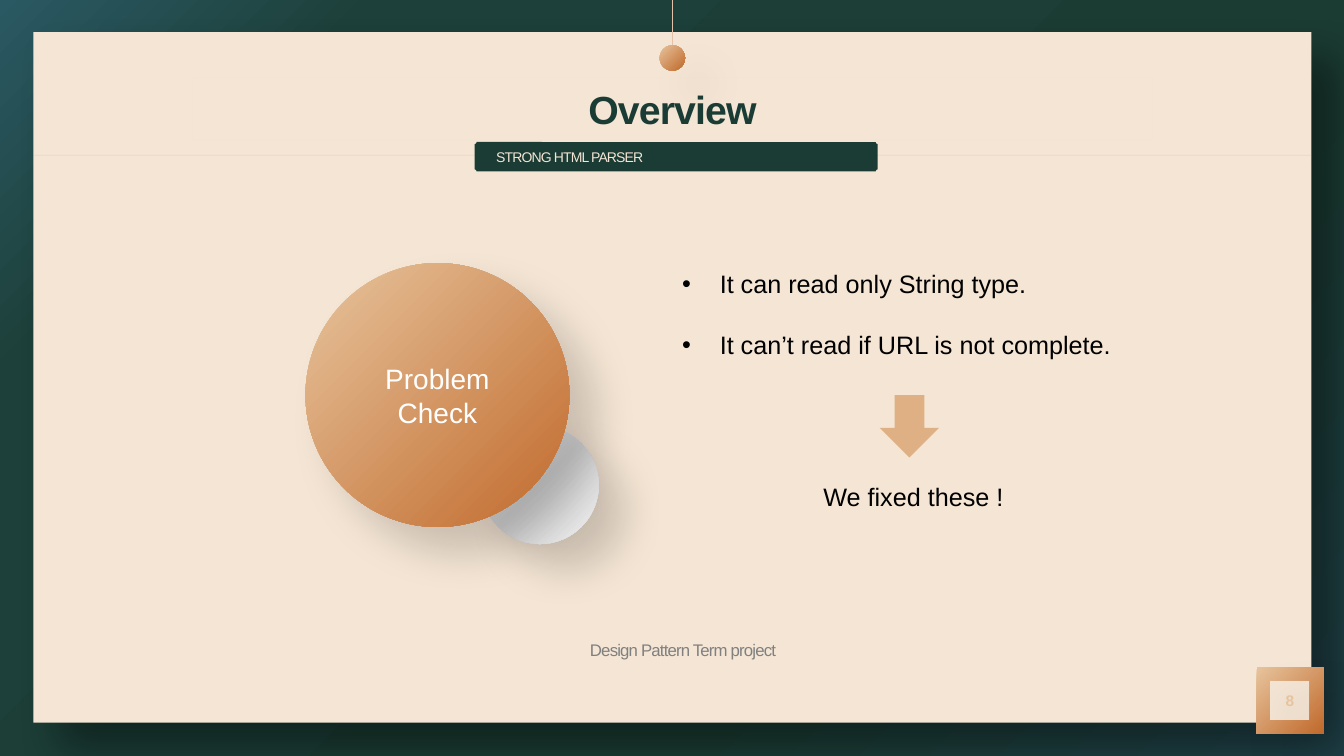
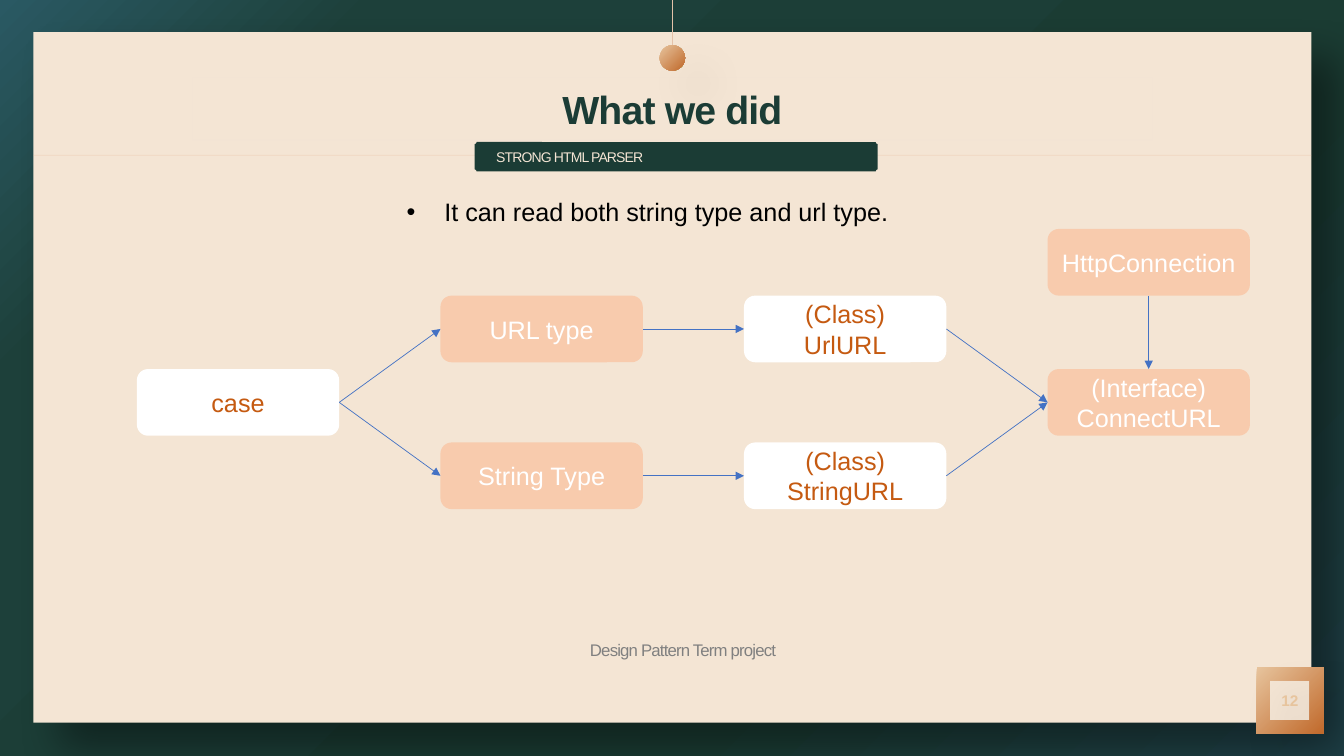
from lxml import etree
from pptx import Presentation
from pptx import util as u
from pptx.dml.color import RGBColor
from pptx.enum import shapes as s, text as t
from pptx.oxml.ns import qn

Cm, Pt = u.Cm, u.Pt
SHAPE = s.MSO_SHAPE
CENTER, LEFT, JUSTIFY = t.PP_ALIGN.CENTER, t.PP_ALIGN.LEFT, t.PP_ALIGN.JUSTIFY

# Shared style
FONT = "Arial"
GREEN, CREAM, WHITE, BLACK = "1B3C35", "F4E5D4", "FFFFFF", "000000"
PEACH, RUST, GREY = "F8CBAD", "C55A11", "808080"
COPPER = [(0, "E7C49D"), (100, "C16A2C")]
SILVER = [(0, "FFFFFF"), (50, "D0D0D0"), (100, "F2F2F2")]
BACKDROP = [(0, "1F4148"), (33, "1B3C33"), (82, "1D403A"), (100, "2A5963")]
SLIDE_WIDTH, SLIDE_HEIGHT = 33.87, 19.05
PANEL = (0.84, 0.81, 32.21, 17.4)


def color(value):
    return RGBColor.from_string(value)


def child(parent, tag, **attributes):
    element = etree.SubElement(parent, qn(tag))
    for name, value in attributes.items():
        element.set(name, str(value))
    return element


def add_alpha(parent, percent):
    child(parent, "a:alpha", val=percent * 1000)


def set_gradient(properties, stops, radial=False):
    """Replace the solid fill in the given properties with a gradient."""
    gradient = etree.Element(qn("a:gradFill"), rotWithShape="1")
    stop_list = child(gradient, "a:gsLst")
    for position, value in stops:
        stop = child(stop_list, "a:gs", pos=position * 1000)
        child(stop, "a:srgbClr", val=value)
    if radial:
        way = child(gradient, "a:path", path="circle")
        child(way, "a:fillToRect", l=100000, t=100000)
    else:
        child(gradient, "a:lin", ang=45 * 60000, scaled=0)
    properties.replace(properties.find(qn("a:solidFill")), gradient)


def write(shape, lines, size=18, ink=BLACK, align=LEFT, bold=False, spacing=0,
          anchor=t.MSO_ANCHOR.MIDDLE, insets=(0.25, 0.13), bullet=False,
          gap=0, line_spacing=None):
    frame = shape.text_frame
    frame.word_wrap = True
    frame.auto_size = t.MSO_AUTO_SIZE.NONE
    frame.vertical_anchor = anchor
    frame.margin_left = frame.margin_right = Cm(insets[0])
    frame.margin_top = frame.margin_bottom = Cm(insets[1])
    for index, line in enumerate(lines.split("\n")):
        paragraph = frame.add_paragraph() if index else frame.paragraphs[0]
        paragraph.alignment = align
        paragraph.space_before = Pt(gap if index else 0)
        if line_spacing:
            paragraph.line_spacing = line_spacing
        if bullet:
            properties = paragraph._p.get_or_add_pPr()
            properties.set("marL", str(Cm(0.95)))
            properties.set("indent", str(-Cm(0.95)))
            child(properties, "a:buFont", typeface=FONT)
            child(properties, "a:buChar", char="•")
        run = paragraph.add_run()
        run.text = line
        font = run.font
        font.name, font.size, font.bold = FONT, Pt(size), bold
        font.color.rgb = color(ink)
        if spacing:
            run._r.get_or_add_rPr().set("spc", str(round(spacing * 100)))


def add_shape(slide, kind, box, fill, shadow=0, adjustment=None):
    """Fill is a hex colour or a list of gradient stops; shadow is its opacity."""
    shape = slide.shapes.add_shape(kind, *map(Cm, box))
    shape.line.fill.background()
    shape.shadow.inherit = False
    shape.fill.solid()
    if isinstance(fill, str):
        shape.fill.fore_color.rgb = color(fill)
    else:
        set_gradient(shape.element.spPr, fill)
    if adjustment is not None:
        shape.adjustments[0] = adjustment
    if shadow:
        effects = shape.element.spPr.find(qn("a:effectLst"))
        outer = child(effects, "a:outerShdw", blurRad=Pt(30), dist=Pt(26),
                      dir=45 * 60000, algn="tl", rotWithShape=0)
        add_alpha(child(outer, "a:srgbClr", val=BLACK), shadow)
    return shape


def add_text(slide, box, lines, **style):
    write(slide.shapes.add_textbox(*map(Cm, box)), lines, **style)


def add_line(slide, start, end, ink, width, alpha=None):
    line = slide.shapes.add_connector(s.MSO_CONNECTOR.STRAIGHT,
                                      *map(Cm, (*start, *end)))
    line.line.color.rgb = color(ink)
    line.line.width = Pt(width)
    child(line.element.spPr, "a:effectLst")
    if alpha:
        add_alpha(next(line.element.iter(qn("a:srgbClr"))), alpha)
    return line


def add_arrow(slide, source, source_site, target, target_site):
    arrow = add_line(slide, (0, 0), (1, 1), "4472C4", 0.5)
    arrow.begin_connect(source, source_site)
    arrow.end_connect(target, target_site)
    child(arrow.element.spPr.find(qn("a:ln")), "a:tailEnd", type="triangle")


def add_frame_slide(presentation, title_text, number):
    """Backdrop, panel, pendant, title, subtitle plaque, footer and number."""
    slide = presentation.slides.add_slide(presentation.slide_layouts[5])
    slide.background.fill.solid()
    set_gradient(next(slide.element.iter(qn("p:bgPr"))), BACKDROP, radial=True)

    # Panel and hairline
    left, top, width, height = PANEL
    right, bottom, middle = left + width, top + height, left + width / 2
    add_shape(slide, SHAPE.RECTANGLE, PANEL, CREAM, shadow=40)
    add_line(slide, (left, top + 3.1), (right, top + 3.1), "E3AB83", 0.5, alpha=24)

    # Page number
    badge = add_shape(slide, SHAPE.FRAME, (right - 1.38, bottom - 1.4, 1.68, 1.68),
                      COPPER, shadow=8, adjustment=0.2)
    write(badge, str(number), size=11, ink="E7C49D", bold=True, align=CENTER,
          insets=(0, 0))

    # Pendant
    ball = 0.64
    add_shape(slide, SHAPE.OVAL, (middle - ball / 2, top + 0.33, ball, ball),
              COPPER, shadow=8)
    add_line(slide, (middle, top + 0.33), (middle, 0), "E4C2A9", 1)

    # Title, brought in front of the panel
    title = slide.shapes.title
    title.element.getparent().append(title.element)
    title.left, title.top = Cm(middle - 12.1), Cm(top + 1.15)
    title.width, title.height = Cm(24.2), Cm(1.57)
    title.line.color.rgb = color("D9D9D9")
    title.line.width = Pt(0.25)
    add_alpha(next(title.element.iter(qn("a:srgbClr"))), 5)
    write(title, title_text, size=28, ink=GREEN, bold=True, align=CENTER,
          spacing=-0.6, insets=(0, 0))

    # Footer and subtitle
    add_text(slide, (left + 3.33, bottom - 3.91, 26.09, 4.04),
             "Design Pattern Term project", size=12, ink=GREY, align=CENTER,
             spacing=-0.6, line_spacing=1.2)
    plaque = add_shape(slide, SHAPE.PLAQUE, (left + 11.12, top + 2.77, 10.16, 0.74),
                       GREEN, adjustment=0.07)
    write(plaque, "STRONG HTML PARSER", size=10, ink=CREAM, align=JUSTIFY,
          spacing=-0.6, insets=(0.51, 0.13))
    return slide


def add_problem_circles(slide, box):
    left, top, width, height = box
    small, large = 2.97, 6.65
    add_shape(slide, SHAPE.OVAL,
              (left + width - small, top + height - small, small, small),
              SILVER, shadow=17)
    circle = add_shape(slide, SHAPE.OVAL, (left, top, large, large), COPPER, shadow=17)
    write(circle, "Problem Check", size=20, ink=WHITE, align=CENTER)


def add_problem_list(slide, box):
    left, top, width, height = box
    add_text(slide, (left, top, width, 3),
             "It can read only String type.\n"
             "It can’t read if URL is not complete.",
             bullet=True, gap=22, anchor=t.MSO_ANCHOR.TOP)
    add_shape(slide, SHAPE.DOWN_ARROW, (left + 5.23, top + 3.33, 1.5, 1.57), "DFB084")
    add_text(slide, (left + 3.56, top + 5.36, width - 3.56, height - 5.36),
             "We fixed these !", anchor=t.MSO_ANCHOR.TOP)


def add_class_diagram(slide, box):
    left, top, width, height = box
    node_width, node_height = 5.1, 1.68
    column_step = (width - node_width) / 3
    upper = top + node_height
    lower = top + height - node_height
    middle = (upper + lower) / 2
    up, west, down, east = range(4)

    # Nodes: label, column, top, fill, text colour
    nodes = {}
    for name, label, column, row, fill, ink in (
        ("case", "case", 0, middle, WHITE, RUST),
        ("string", "String Type", 1, lower, PEACH, WHITE),
        ("url", "URL type", 1, upper, PEACH, WHITE),
        ("url class", "(Class)\nUrlURL", 2, upper, WHITE, RUST),
        ("string class", "(Class) StringURL", 2, lower, WHITE, RUST),
        ("interface", "(Interface) ConnectURL", 3, middle, PEACH, WHITE),
        ("http", "HttpConnection", 3, top, PEACH, WHITE),
    ):
        place = (left + column * column_step, row, node_width, node_height)
        nodes[name] = add_shape(slide, SHAPE.ROUNDED_RECTANGLE, place, fill)
        write(nodes[name], label, ink=ink, align=CENTER)

    # Arrows
    for source, target in (("case", "url"), ("case", "string"),
                           ("url", "url class"), ("string", "string class"),
                           ("url class", "interface"), ("string class", "interface")):
        add_arrow(slide, nodes[source], east, nodes[target], west)
    add_arrow(slide, nodes["http"], down, nodes["interface"], up)


def build_overview(presentation):
    slide = add_frame_slide(presentation, "Overview", 8)
    add_problem_circles(slide, (7.7, 6.63, 7.39, 7.08))
    add_problem_list(slide, (16.94, 6.63, 13.84, 6.8))


def build_what_we_did(presentation):
    slide = add_frame_slide(presentation, "What we did", 12)
    add_text(slide, (10, 4.83, 13.84, 1.2),
             "It can read both string type and url type.",
             bullet=True, anchor=t.MSO_ANCHOR.TOP)
    add_class_diagram(slide, (3.45, 5.77, 28.05, 7.06))


presentation = Presentation()
presentation.slide_width = Cm(SLIDE_WIDTH)
presentation.slide_height = Cm(SLIDE_HEIGHT)
build_overview(presentation)
build_what_we_did(presentation)
presentation.save("out.pptx")
